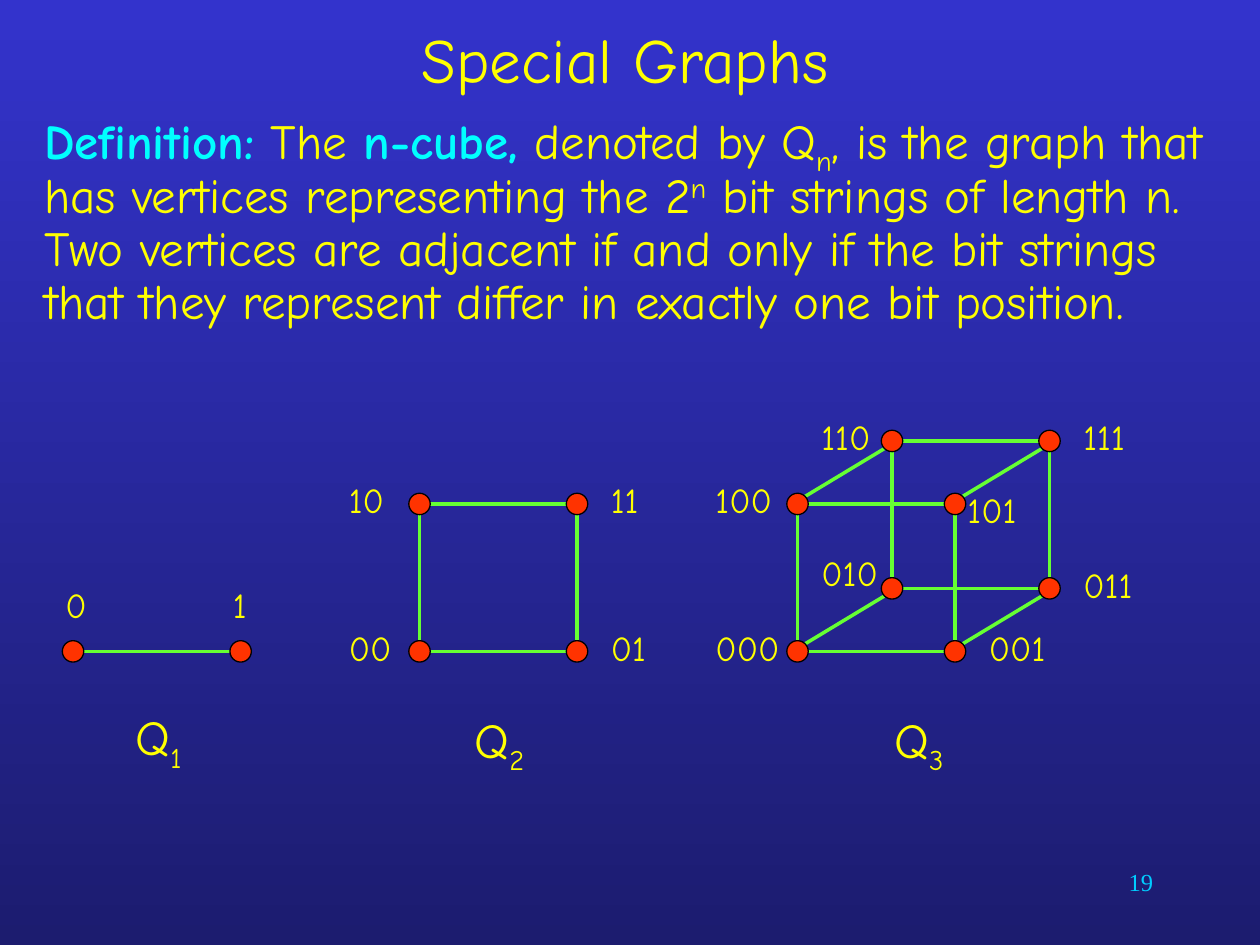
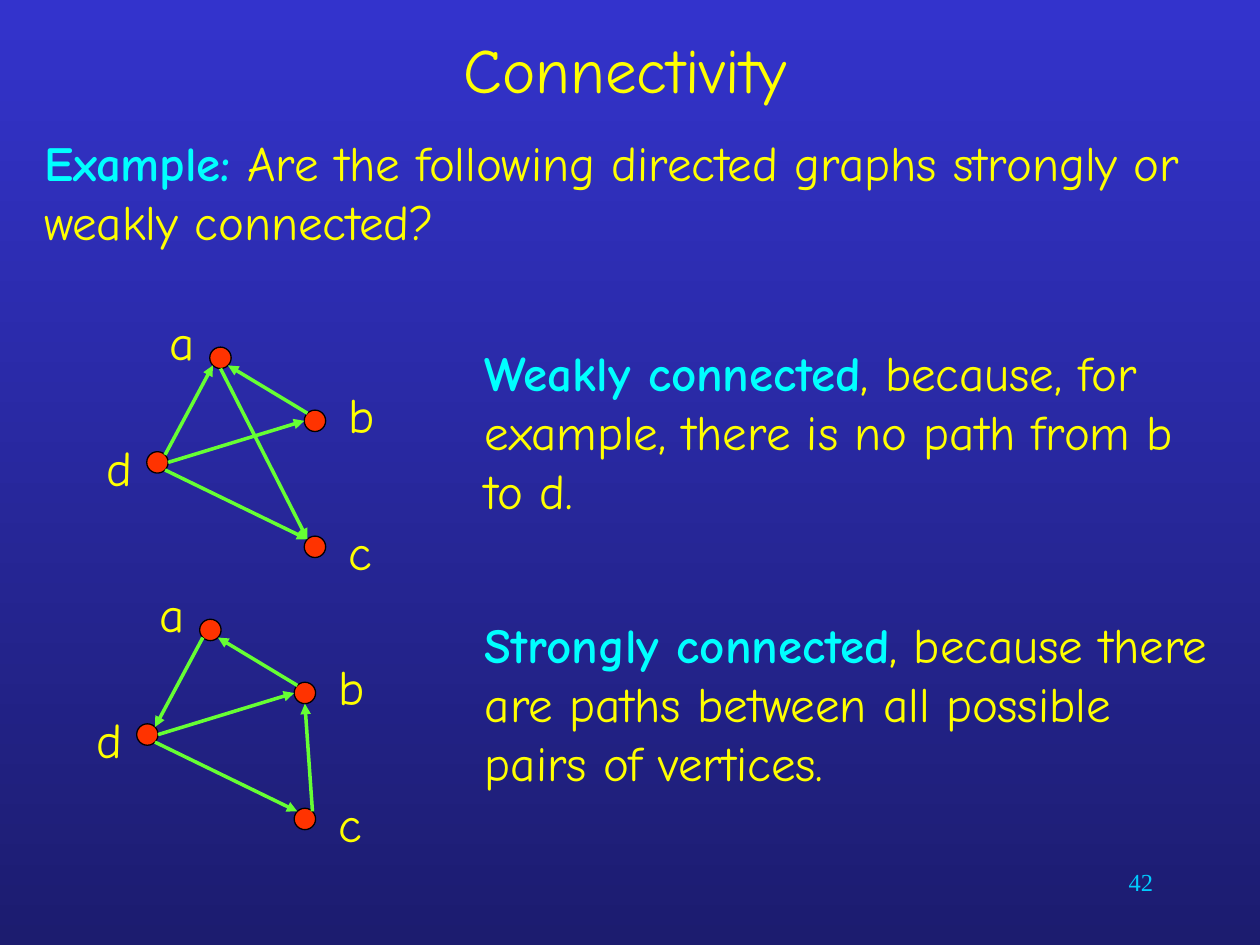
from itertools import combinations, product
from math import atan2, cos, pi, sin

from lxml.etree import SubElement
from pptx import Presentation
from pptx.dml.color import RGBColor
from pptx.enum.shapes import MSO_CONNECTOR, MSO_SHAPE
from pptx.enum.text import MSO_ANCHOR, MSO_AUTO_SIZE, PP_ALIGN
from pptx.oxml.ns import qn
from pptx.util import Inches, Pt

HEX = {
    "top": "3333CC", "base": "1C1C6F", "text": "FFFF00", "key": "00FFFF",
    "page": "00CCFF", "dot": "FF3300", "rim": "000000", "edge": "66FF33",
}
FONT = "Comic Neue"
DOT = 0.17

LEFT, RIGHT = (-0.66, -0.25), (0.17, -0.25)
FAR = (-0.75, -0.25)
# Each cube: origin, step for each bit, labels set apart, caption place
CUBES = [
    ((0.58, 5.17), [(1.33, 0)],
     {"0": (-0.16, -0.59), "1": (-0.16, -0.59)}, (0.98, 5.56)),
    ((3.33, 5.17), [(0, -1.17), (1.25, 0)], {}, (3.67, 5.58)),
    ((6.33, 5.17), [(0, -1.17), (0.75, -0.5), (1.25, 0)],
     {"000": FAR, "100": FAR, "101": (0, -0.17), "010": (-0.66, -0.34)},
     (7, 5.58)),
]

# Vertex centres and label corners within a directed graph's box
NODES = {"a": (1, 0.42), "b": (1.75, 0.92), "c": (1.75, 1.92), "d": (0.5, 1.25)}
TAGS = {"a": (0.5, 0), "b": (1.92, 0.58), "c": (1.92, 1.67), "d": (0, 1)}


def color(name):
    return RGBColor.from_string(HEX[name])


def add_run(par, text, size=28, tone="text", font=FONT, shift=0):
    """Add a run; shift raises or lowers it by a percentage."""
    run = par.add_run()
    run.text = text
    run.font.name = font
    run.font.size = Pt(size)
    run.font.bold = tone == "key"
    run.font.color.rgb = color(tone)
    if shift:
        run.font._element.set("baseline", str(shift * 1000))


def add_text(shapes, box, align=PP_ALIGN.LEFT):
    """Add a wrapping text box and return its first paragraph."""
    frame = shapes.add_textbox(*map(Inches, box)).text_frame
    frame.word_wrap = True
    frame.paragraphs[0].alignment = align
    return frame.paragraphs[0]


def fill_holder(holder, box):
    """Place a placeholder and return its cleared first paragraph."""
    holder.left, holder.top, holder.width, holder.height = map(Inches, box)
    frame = holder.text_frame
    frame.auto_size = MSO_AUTO_SIZE.NONE
    par = frame.paragraphs[0]
    par.space_before = Pt(0)
    return par


def add_slide(deck, title, page, head, body):
    """Start a slide and return it with its body paragraph."""
    slide = deck.slides.add_slide(deck.slide_layouts[1])
    par = add_text(slide.shapes, (7.17, 6.83, 2.08, 0.5), PP_ALIGN.RIGHT)
    add_run(par, page, 14, "page", "Times New Roman")

    par = fill_holder(slide.shapes.title, (0.25, 0, 9.42, head))
    slide.shapes.title.text_frame.vertical_anchor = MSO_ANCHOR.MIDDLE
    par.alignment = PP_ALIGN.CENTER
    add_run(par, title, 36)

    holder = slide.placeholders[1]
    par = fill_holder(holder, body)
    holder.text_frame.vertical_anchor = MSO_ANCHOR.TOP
    props = par._p.get_or_add_pPr()
    props.set("marL", "0")
    props.set("indent", "0")
    SubElement(props, qn("a:buNone"))
    return slide, par


def add_dot(shapes, spot):
    x, y = spot
    dot = shapes.add_shape(
        MSO_SHAPE.FLOWCHART_CONNECTOR,
        *map(Inches, (x - DOT / 2, y - DOT / 2, DOT, DOT)))
    dot.shadow.inherit = False
    dot.fill.solid()
    dot.fill.fore_color.rgb = color("dot")
    dot.line.color.rgb = color("rim")
    dot.line.width = Pt(0.75)


def rim_point(spot, angle):
    """Point on a dot's rim at the eighth of a turn nearest the angle."""
    turn = round(angle / (pi / 4)) * pi / 4
    return spot[0] + DOT / 2 * cos(turn), spot[1] + DOT / 2 * sin(turn)


def add_edge(shapes, start, end, arrow=False, leave=None):
    """Join two dots; leave overrides the angle at which the edge starts."""
    angle = atan2(end[1] - start[1], end[0] - start[0])
    first = rim_point(start, angle if leave is None else leave)
    last = rim_point(end, angle + pi)
    edge = shapes.add_connector(
        MSO_CONNECTOR.STRAIGHT, *map(Inches, first + last))
    edge.line.color.rgb = color("edge")
    edge.line.width = Pt(2)
    if arrow:
        SubElement(edge.line._get_or_add_ln(), qn("a:tailEnd"), type="triangle")
    SubElement(edge._element.spPr, qn("a:effectLst"))


def add_cube(slide, origin, steps, apart, caption):
    """Draw an n-cube, one step per bit, with its caption."""
    size = len(steps)
    par = add_text(slide.shapes, (*caption, 0.75, 0.63))
    add_run(par, "Q")
    add_run(par, str(size), shift=-25)

    shapes = slide.shapes.add_group_shape().shapes
    spots = {}
    for bits in product((0, 1), repeat=size):
        name = "".join(map(str, bits))
        spots[name] = tuple(
            origin[k] + sum(bit * step[k] for bit, step in zip(bits, steps))
            for k in (0, 1))
    for one, two in combinations(spots, 2):
        if sum(p != q for p, q in zip(one, two)) == 1:
            add_edge(shapes, spots[one], spots[two])
    for name, (x, y) in spots.items():
        add_dot(shapes, (x, y))
        dx, dy = apart.get(name, RIGHT if name[-1] == "1" else LEFT)
        add_run(add_text(shapes, (x + dx, y + dy, 0.75, 0.44)), name, 20)


def add_digraph(slide, left, top, edges):
    """Draw a directed graph; each edge is from, to and a start angle or None."""
    shapes = slide.shapes.add_group_shape().shapes
    spots = {name: (left + x, top + y) for name, (x, y) in NODES.items()}
    for name, spot in spots.items():
        add_dot(shapes, spot)
        x, y = TAGS[name]
        add_run(add_text(shapes, (left + x, top + y, 0.67, 0.57)), name)
    for start, end, leave in edges:
        add_edge(shapes, spots[start], spots[end], True, leave)


def add_answer(slide, top, key, rest):
    par = add_text(slide.shapes, (3.75, top, 6, 1.92))
    add_run(par, key, tone="key")
    add_run(par, rest)


def cube_slide(deck):
    slide, par = add_slide(
        deck, "Special Graphs", "19", 0.92, (0.25, 0.83, 9.58, 2.42))
    par.line_spacing = 0.9
    add_run(par, "Definition:", tone="key")
    add_run(par, " The ")
    add_run(par, "n-cube, ", tone="key")
    add_run(par, "denoted by Q")
    add_run(par, "n", shift=-25)
    add_run(par, ", is the graph that has vertices representing the 2")
    add_run(par, "n", shift=30)
    add_run(par, " bit strings of length n. Two vertices are adjacent if and "
                 "only if the bit strings that they represent differ in "
                 "exactly one bit position.")
    for cube in CUBES:
        add_cube(slide, *cube)


def link_slide(deck):
    slide, par = add_slide(
        deck, "Connectivity", "42", 1.08, (0.25, 1, 9.58, 1.08))
    add_run(par, "Example:", tone="key")
    add_run(par, " Are the following directed graphs strongly or weakly "
                 "connected?")
    shared = [("b", "a", None), ("d", "b", None), ("d", "c", None)]
    add_digraph(slide, 0.75, 2.42,
                shared + [("d", "a", None), ("a", "c", pi / 2)])
    add_answer(slide, 2.67, "Weakly connected",
               ", because, for example, there is no path from b to d.")
    add_digraph(slide, 0.67, 4.58,
                shared + [("a", "d", None), ("c", "b", -pi / 4)])
    add_answer(slide, 4.83, "Strongly connected",
               ", because there are paths between all possible pairs of "
               "vertices.")


def paint_master(deck):
    fill = deck.slide_master.background.fill
    fill.gradient()
    fill.gradient_angle = 270
    for stop, name in zip(fill.gradient_stops, ("top", "base")):
        stop.color.rgb = color(name)


def main():
    deck = Presentation()
    deck.slide_width, deck.slide_height = Inches(10), Inches(7.5)
    paint_master(deck)
    cube_slide(deck)
    link_slide(deck)
    deck.save("out.pptx")


if __name__ == "__main__":
    main()
